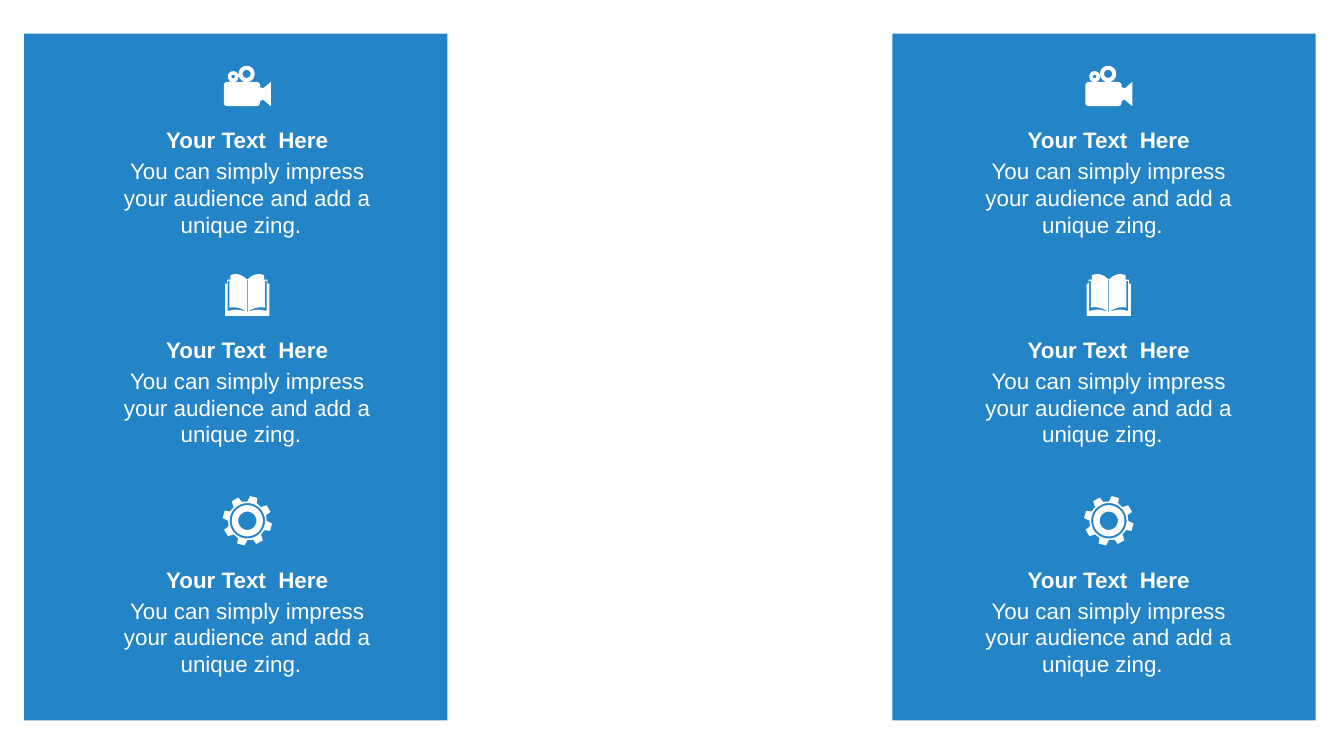
from dataclasses import dataclass
from math import cos, radians, sin

from lxml.etree import SubElement
from pptx import Presentation
from pptx.dml.color import RGBColor
from pptx.enum.shapes import MSO_SHAPE as Preset
from pptx.enum.text import MSO_AUTO_SIZE as AutoSize, PP_ALIGN as Align
from pptx.oxml.ns import qn
from pptx.util import Inches, Pt


@dataclass(frozen=True)
class Theme:
    panel: RGBColor = RGBColor(0x00, 0x70, 0xC0)
    ink: RGBColor = RGBColor(0xFF, 0xFF, 0xFF)
    panel_opacity: int = 86
    font: str = "Arial"
    text_size: int = 12


HEADING = "Your Text  Here"
BODY = "You can simply impress your audience and add a unique zing.  "
SLIDE_WIDTH = 10
SLIDE_HEIGHT = SLIDE_WIDTH * 9 / 16
PANEL_TOP, PANEL_WIDTH, PANEL_HEIGHT = 0.25, 3.15, 5.11
TEXT_WIDTH, HEADING_HEIGHT, BODY_HEIGHT = 2.1, 0.3, 0.71
BODY_OFFSET = 0.23


# Icon outlines are lists of contours, in hundredths of an inch.

def trace(*steps, samples=8):
    """Turn points (x, y) and cubic curves (six numbers) into a polyline."""
    points = []
    for step in steps:
        if len(step) == 2:
            points.append(step)
            continue
        nodes = [points[-1], step[:2], step[2:4], step[4:]]
        for i in range(1, samples + 1):
            t = i / samples
            weights = ((1 - t) ** 3, 3 * t * (1 - t) ** 2,
                       3 * t * t * (1 - t), t ** 3)
            points.append(tuple(sum(w * node[axis] for w, node in zip(weights, nodes))
                                for axis in (0, 1)))
    return points


def polar(center, radius, degrees):
    """Point on a circle, with the angle measured clockwise from the top."""
    angle = radians(degrees)
    return center[0] + radius * sin(angle), center[1] - radius * cos(angle)


def circle(x, y, radius):
    return [polar((x, y), radius, degrees) for degrees in range(0, 360, 10)]


def mirror(points, axis):
    return [(2 * axis - x, y) for x, y in reversed(points)]


def camera():
    body = trace((3, 12), (24, 12), (26, 12, 27, 13, 27, 15), (27, 16),
                 (28, 16), (29, 17), (35, 12), (35, 30), (29, 25),
                 (28, 26), (27, 26), (27, 27), (27, 29, 26, 30, 24, 30),
                 (3, 30), (1, 30, 0, 29, 0, 27), (0, 15), (0, 13, 1, 12, 3, 12))
    reels = [(7, 8, 4), (7, 8, 1.3), (17, 6, 6), (17, 6, 3)]
    return [body] + [circle(*reel) for reel in reels]


def book():
    spine = 16.5
    cover = trace((spine, 4), (13, 1, 11, 0, 8, 0), (7, 0, 5, 0, 4, 1),
                  (4, 4), (1.5, 4), (1.5, 7), (0, 7), (0, 31))
    groove = trace((2, 5), (3.3, 5), (3.3, 25), (7, 24, 12, 25, 16, 28),
                   (10, 26, 7, 26, 2, 27.5))
    gutter = [(16.2, 4), (16.8, 4), (16.8, 28), (16.2, 28)]
    return [cover + mirror(cover, spine), groove, mirror(groove, spine), gutter]


def gear():
    center = (18.5, 18.5)
    tooth = [(14.3, 0), (18.5, 6.5), (18.5, 24), (14.7, 28)]
    rim = [polar(center, radius, turn + degrees)
           for turn in range(0, 360, 45) for radius, degrees in tooth]
    return [rim] + [circle(*center, radius) for radius in (13.2, 11.6, 6.8)]


class SlideBuilder:
    def __init__(self, slide, theme):
        self.slide, self.theme = slide, theme

    def paint(self, shape, color):
        shape.shadow.inherit = False
        shape.fill.solid()
        shape.fill.fore_color.rgb = color
        shape.line.fill.background()

    def panel(self, left):
        box = [Inches(v) for v in (left, PANEL_TOP, PANEL_WIDTH, PANEL_HEIGHT)]
        panel = self.slide.shapes.add_shape(Preset.RECTANGLE, *box)
        self.paint(panel, self.theme.panel)
        color = panel.fill._xPr.find(qn("a:solidFill"))[0]
        SubElement(color, qn("a:alpha"), val=str(self.theme.panel_opacity * 1000))

    def icon(self, contours, center, top):
        """Draw the contours as one shape, centred across on center."""
        width = max(x for x, _ in contours[0])
        left = center * 100 - width / 2
        builder = None
        for contour in contours:
            # The builder rounds to whole units, so work in thousandths.
            start, *rest = [((left + x) * 10, top * 1000 + y * 10) for x, y in contour]
            if builder is None:
                builder = self.slide.shapes.build_freeform(*start, scale=Inches(1) / 1000)
            else:
                builder.move_to(*start)
            builder.add_line_segments(rest, close=True)
        self.paint(builder.convert_to_shape(), self.theme.ink)

    def text(self, group, words, box, bold=False):
        frame = group.shapes.add_textbox(*[Inches(v) for v in box]).text_frame
        frame.word_wrap = True
        frame.auto_size = AutoSize.SHAPE_TO_FIT_TEXT
        paragraph = frame.paragraphs[0]
        paragraph.alignment = Align.CENTER
        run = paragraph.add_run()
        run.text = words
        formats = {"name": self.theme.font, "size": Pt(self.theme.text_size),
                   "bold": bold}
        for name, value in formats.items():
            setattr(run.font, name, value)
        run.font.color.rgb = self.theme.ink

    def caption(self, left, top):
        group = self.slide.shapes.add_group_shape()
        self.text(group, BODY, (left, top + BODY_OFFSET, TEXT_WIDTH, BODY_HEIGHT))
        self.text(group, HEADING, (left, top, TEXT_WIDTH, HEADING_HEIGHT), bold=True)


def main():
    deck = Presentation()
    deck.slide_width, deck.slide_height = Inches(SLIDE_WIDTH), Inches(SLIDE_HEIGHT)
    blank_layout = deck.slide_layouts[6]
    builder = SlideBuilder(deck.slides.add_slide(blank_layout), Theme())

    # Panel left and caption left of each column
    columns = [(0.18, 0.79), (6.64, 7.2)]
    # Icon, icon top and caption top of each row
    rows = [(camera(), 0.49, 0.89), (book(), 2.04, 2.45), (gear(), 3.69, 4.16)]

    for panel_left, _ in columns:
        builder.panel(panel_left)
    for _, caption_left in columns:
        for _, _, caption_top in rows:
            builder.caption(caption_left, caption_top)
        for contours, icon_top, _ in reversed(rows):
            builder.icon(contours, caption_left + TEXT_WIDTH / 2, icon_top)

    deck.save("out.pptx")


if __name__ == "__main__":
    main()
